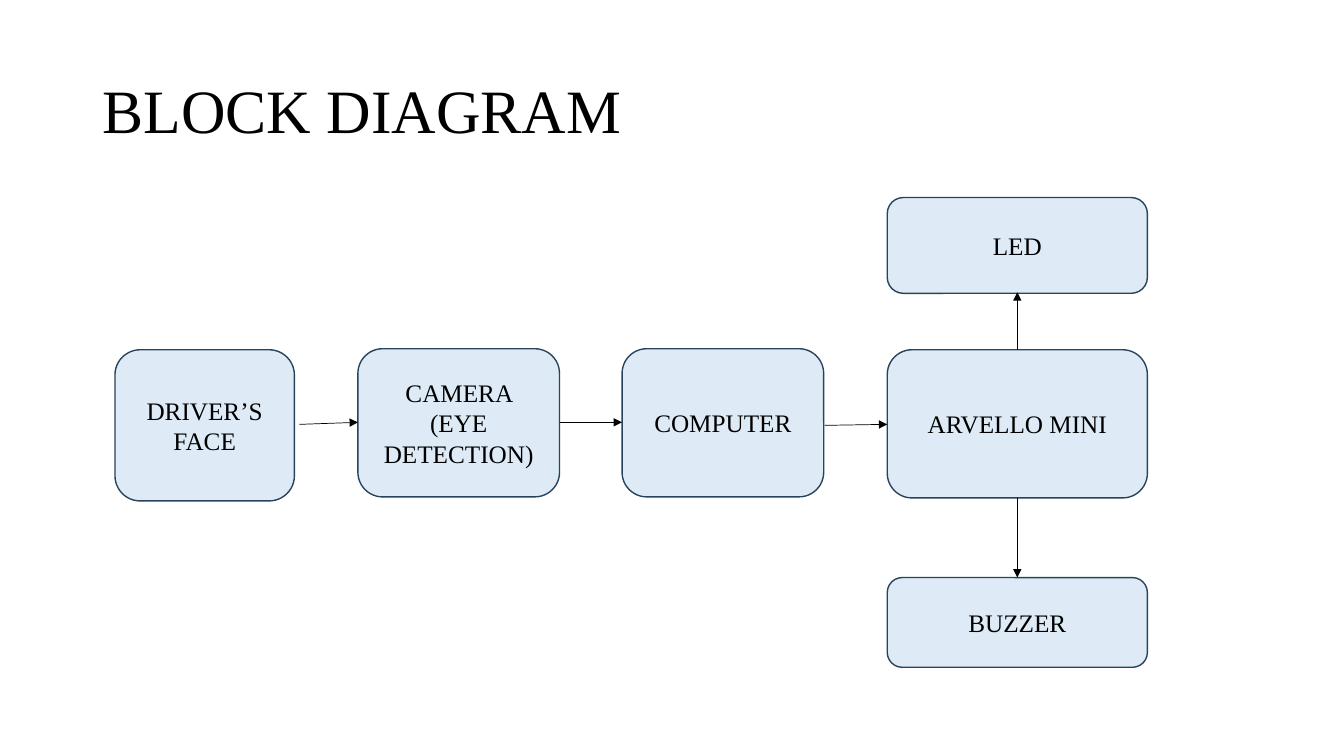
from lxml import etree
from pptx import Presentation
from pptx.dml.color import RGBColor
from pptx.enum.shapes import MSO_CONNECTOR, MSO_SHAPE
from pptx.enum.text import MSO_ANCHOR, MSO_AUTO_SIZE, PP_ALIGN
from pptx.oxml.ns import qn
from pptx.util import Inches, Pt

ROUNDED = MSO_SHAPE.ROUNDED_RECTANGLE
STRAIGHT = MSO_CONNECTOR.STRAIGHT
MIDDLE = MSO_ANCHOR.MIDDLE
NO_FIT = MSO_AUTO_SIZE.NONE
LEFT, CENTER = PP_ALIGN.LEFT, PP_ALIGN.CENTER
TITLE_ONLY = 5


def rgb(color):
    return RGBColor.from_string(color)


def set_values(target, values):
    for name, value in values.items():
        setattr(target, name, value)


class BlockDiagram:
    """Draws titled blocks and arrows in one style on a slide."""

    font = "Times New Roman"
    ink, fill, border = "000000", "DEEBF7", "28445D"

    def __init__(self, prs):
        self.s = prs.slides.add_slide(prs.slide_layouts[TITLE_ONLY])

    def label(self, sp, text, size, align, spacing=1.0):
        tf = sp.text_frame
        set_values(tf, {"word_wrap": True, "auto_size": NO_FIT,
                        "vertical_anchor": MIDDLE})
        p = tf.paragraphs[0]
        set_values(p, {"alignment": align, "line_spacing": spacing})
        r = p.add_run()
        r.text = text
        set_values(r.font, {"name": self.font, "size": Pt(size)})
        r.font.color.rgb = rgb(self.ink)

    def title(self, text, left, top, width, height):
        sp = self.s.shapes.title
        set_values(sp, {"left": Inches(left), "top": Inches(top),
                        "width": Inches(width), "height": Inches(height)})
        self.label(sp, text, 44, LEFT, 0.9)

    def block(self, text, *box):
        sp = self.s.shapes.add_shape(ROUNDED, *map(Inches, box))
        sp.shadow.inherit = False
        sp.fill.solid()
        sp.fill.fore_color.rgb = rgb(self.fill)
        sp.line.color.rgb = rgb(self.border)
        sp.line.width = Pt(1)
        self.label(sp, text, 18, CENTER)

    def arrow(self, *ends):
        sp = self.s.shapes.add_connector(STRAIGHT, *map(Inches, ends))
        sp.line.color.rgb = rgb(self.ink)
        sp.line.width = Pt(0.5)
        props = sp.element.spPr
        etree.SubElement(props.find(qn("a:ln")), qn("a:tailEnd"), type="triangle")
        etree.SubElement(props, qn("a:effectLst"))


def main():
    prs = Presentation()
    prs.slide_width, prs.slide_height = Inches(13.33), Inches(7.5)
    diagram = BlockDiagram(prs)
    diagram.title("BLOCK DIAGRAM", 0.92, 0.4, 11.5, 1.45)

    output_left, output_width = 8.8, 2.58
    output_center = output_left + output_width / 2

    blocks = [
        ("DRIVER’S FACE", 1.14, 3.47, 1.78, 1.5),
        ("CAMERA (EYE DETECTION)", 3.55, 3.46, 2, 1.47),
        ("COMPUTER", 6.17, 3.46, 2, 1.47),
        ("ARVELLO MINI", output_left, 3.47, output_width, 1.47),
        ("LED", output_left, 1.96, output_width, 0.95),
        ("BUZZER", output_left, 5.73, output_width, 0.89),
    ]
    for block in blocks:
        diagram.block(*block)

    arrows = [
        (2.97, 4.21, 3.55, 4.19),
        (5.55, 4.19, 6.17, 4.19),
        (8.18, 4.22, output_left, 4.21),
        (output_center, 3.47, output_center, 2.9),
        (output_center, 4.94, output_center, 5.73),
    ]
    for arrow in arrows:
        diagram.arrow(*arrow)

    prs.save("out.pptx")


if __name__ == "__main__":
    main()
